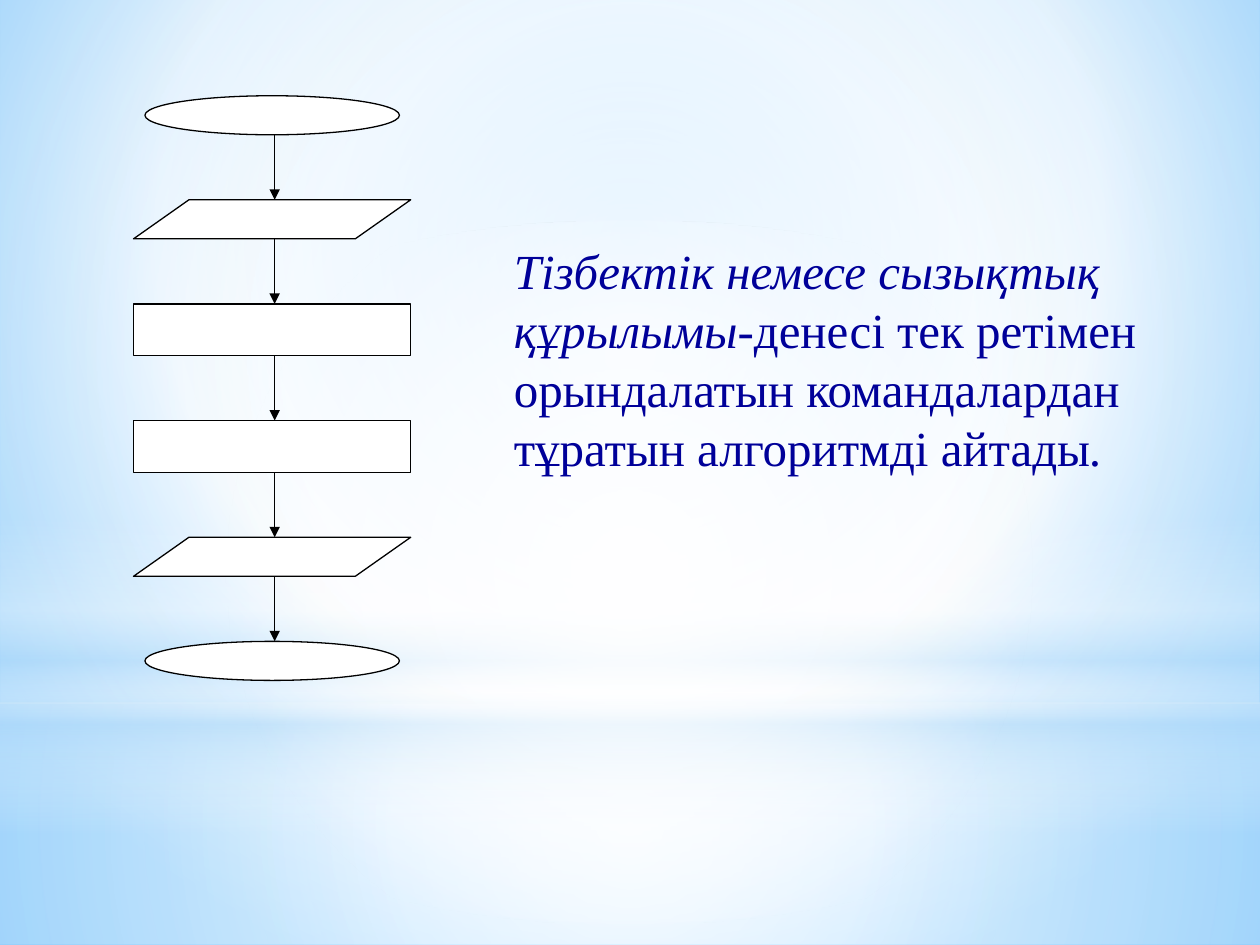
from lxml import etree
from pptx import Presentation
from pptx.dml.color import RGBColor
from pptx.enum.shapes import MSO_CONNECTOR, MSO_SHAPE as Shape
from pptx.enum.text import MSO_AUTO_SIZE
from pptx.oxml import parse_xml
from pptx.oxml.ns import nsdecls, qn
from pptx.util import Inches, Pt

COLORS = {"sky": "9ED5FF", "deep": "5BB9FF", "mist": "B4DCFA",
          "white": "FFFFFF", "ink": "000000", "navy": "000099"}
FONT = "Times New Roman"
CENTER = (50, 50, 50, 50)


def rgb(name):
    return RGBColor.from_string(COLORS[name])


def set_gradient(fill, element, stops, focus=None):
    """Stops are (position, colour, opacity) in percent; no focus means top to bottom."""
    fill.gradient()
    stop_xml = "".join(
        f'<a:gs pos="{pos * 1000}"><a:srgbClr val="{COLORS[color]}">'
        f'<a:alpha val="{alpha * 1000}"/></a:srgbClr></a:gs>'
        for pos, color, alpha in stops)
    if focus:
        left, top, right, bottom = (value * 1000 for value in focus)
        direction = (f'<a:path path="circle"><a:fillToRect l="{left}" t="{top}" '
                     f'r="{right}" b="{bottom}"/></a:path>')
    else:
        direction = '<a:lin ang="5400000" scaled="0"/>'
    gradient = parse_xml(f'<a:gradFill {nsdecls("a")} rotWithShape="1">'
                         f'<a:gsLst>{stop_xml}</a:gsLst>{direction}</a:gradFill>')
    old = element.xpath(".//a:gradFill")[0]
    old.getparent().replace(old, gradient)


def add_backdrop(slide, width, height):
    set_gradient(slide.background.fill, slide._element,
                 [(0, "sky", 100), (60, "white", 100), (100, "deep", 100)],
                 (20, 10, 20, 60))
    horizon = 5.58
    layers = [
        # floor, sky, horizon band, central glow
        (Shape.RECTANGLE, horizon, height - horizon,
         [(0, "white", 91), (37, "white", 76), (100, "mist", 79)], CENTER),
        (Shape.RECTANGLE, 0, horizon,
         [(0, "white", 89), (48, "white", 62), (100, "mist", 79)], CENTER),
        (Shape.RECTANGLE, 4.12, 2.5,
         [(0, "white", 0), (29, "white", 30), (45, "mist", 40),
          (55, "white", 26), (65, "mist", 60), (100, "white", 0)], None),
        (Shape.OVAL, 1.75, horizon,
         [(0, "white", 100), (56, "white", 0)], CENTER),
    ]
    for kind, top, depth, stops, focus in layers:
        layer = slide.shapes.add_shape(kind, 0, Inches(top), Inches(width), Inches(depth))
        layer.shadow.inherit = False
        layer.line.fill.background()
        set_gradient(layer.fill, layer._element, stops, focus)


def add_step(slide, kind, left, top, width, height):
    step = slide.shapes.add_shape(kind, Inches(left), Inches(top),
                                  Inches(width), Inches(height))
    step.shadow.inherit = False
    step.fill.solid()
    step.fill.fore_color.rgb = rgb("white")
    step.line.color.rgb = rgb("ink")
    step.line.width = Pt(0.75)


def add_arrow(slide, x, top, bottom):
    arrow = slide.shapes.add_connector(MSO_CONNECTOR.STRAIGHT, Inches(x), Inches(top),
                                       Inches(x), Inches(bottom))
    arrow.line.color.rgb = rgb("ink")
    arrow.line.width = Pt(0.75)
    etree.SubElement(arrow.line._get_or_add_ln(), qn("a:tailEnd"), type="triangle")
    etree.SubElement(arrow._element.spPr, qn("a:effectLst"))


def add_flowchart(slide, left, top, width, height):
    terminal = (Shape.FLOWCHART_CONNECTOR, 2.02, 0.31)
    data = (Shape.FLOWCHART_DATA, width, 0.31)
    process = (Shape.FLOWCHART_PROCESS, width, 0.41)
    steps = [terminal, data, process, process, data, terminal]
    gap = (height - sum(step[2] for step in steps)) / (len(steps) - 1)
    arrow_x = left + 1.12
    y = top
    for index, (kind, step_width, step_height) in enumerate(steps):
        if index:
            add_arrow(slide, arrow_x, y - gap, y)
        add_step(slide, kind, left + (width - step_width) / 2, y, step_width, step_height)
        y += step_height + gap


def add_definition(slide, left, top, width, height):
    # Each line holds (text, italic) pieces
    lines = [
        [("Тізбектік немесе сызықтық", True)],
        [("құрылымы", True), ("-денесі тек ретімен", False)],
        [("орындалатын командалардан", False)],
        [("тұратын алгоритмді айтады", False), (".", True)],
    ]
    definition = slide.shapes.add_textbox(Inches(left), Inches(top),
                                          Inches(width), Inches(height))
    frame = definition.text_frame
    frame.word_wrap = False
    frame.auto_size = MSO_AUTO_SIZE.SHAPE_TO_FIT_TEXT
    for index, pieces in enumerate(lines):
        paragraph = frame.add_paragraph() if index else frame.paragraphs[0]
        for text, italic in pieces:
            run = paragraph.add_run()
            run.text = text
            run.font.name = FONT
            run.font.size = Pt(28)
            run.font.italic = italic
            run.font.color.rgb = rgb("navy")


def main():
    width, height = 10, 7.5
    deck = Presentation()
    deck.slide_width, deck.slide_height = Inches(width), Inches(height)
    slide = deck.slides.add_slide(deck.slide_layouts[6])
    add_backdrop(slide, width, height)
    add_flowchart(slide, 1.06, 0.76, 2.2, 4.64)
    add_definition(slide, 3.98, 1.86, 5.24, 1.97)
    deck.save("out.pptx")


if __name__ == "__main__":
    main()
